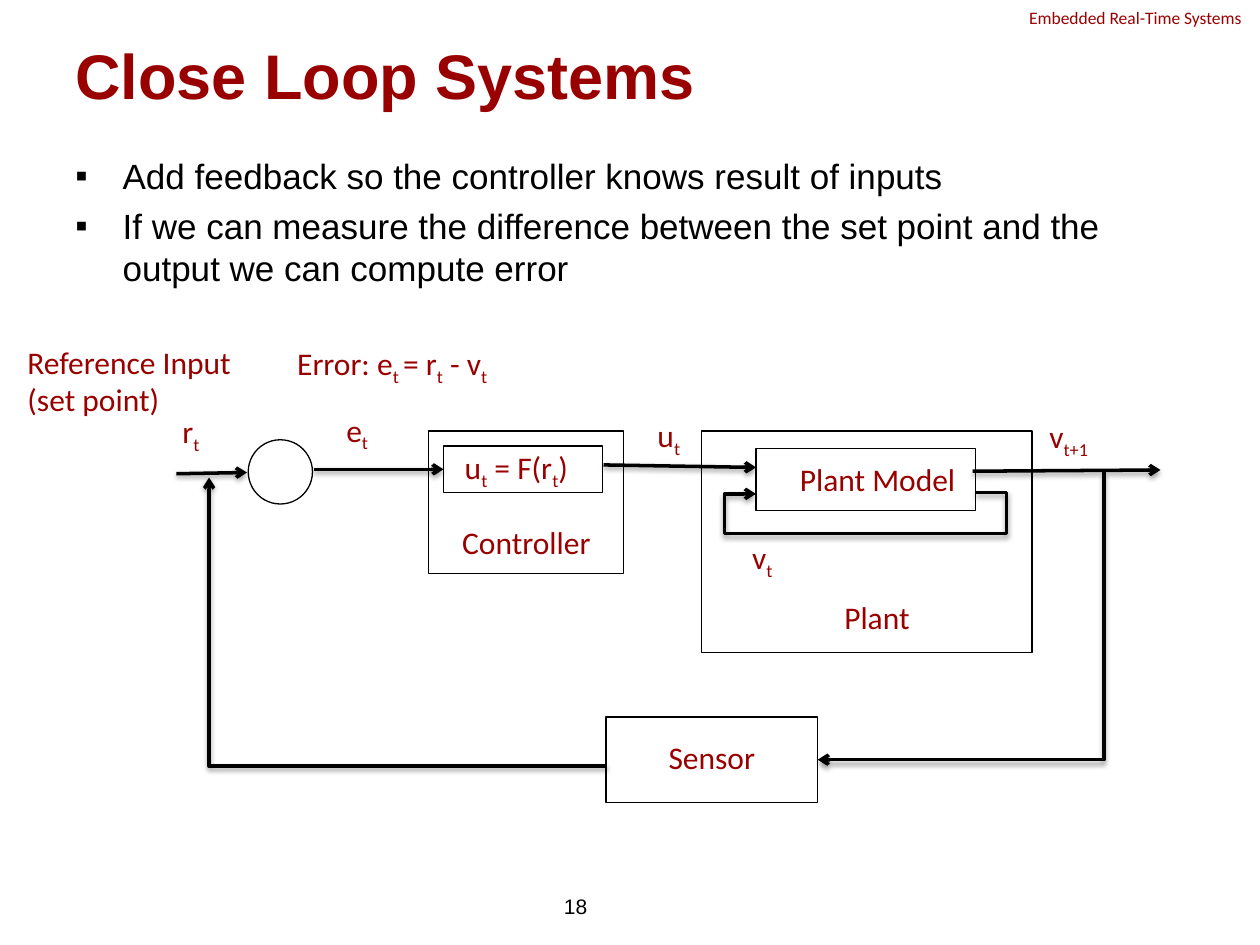
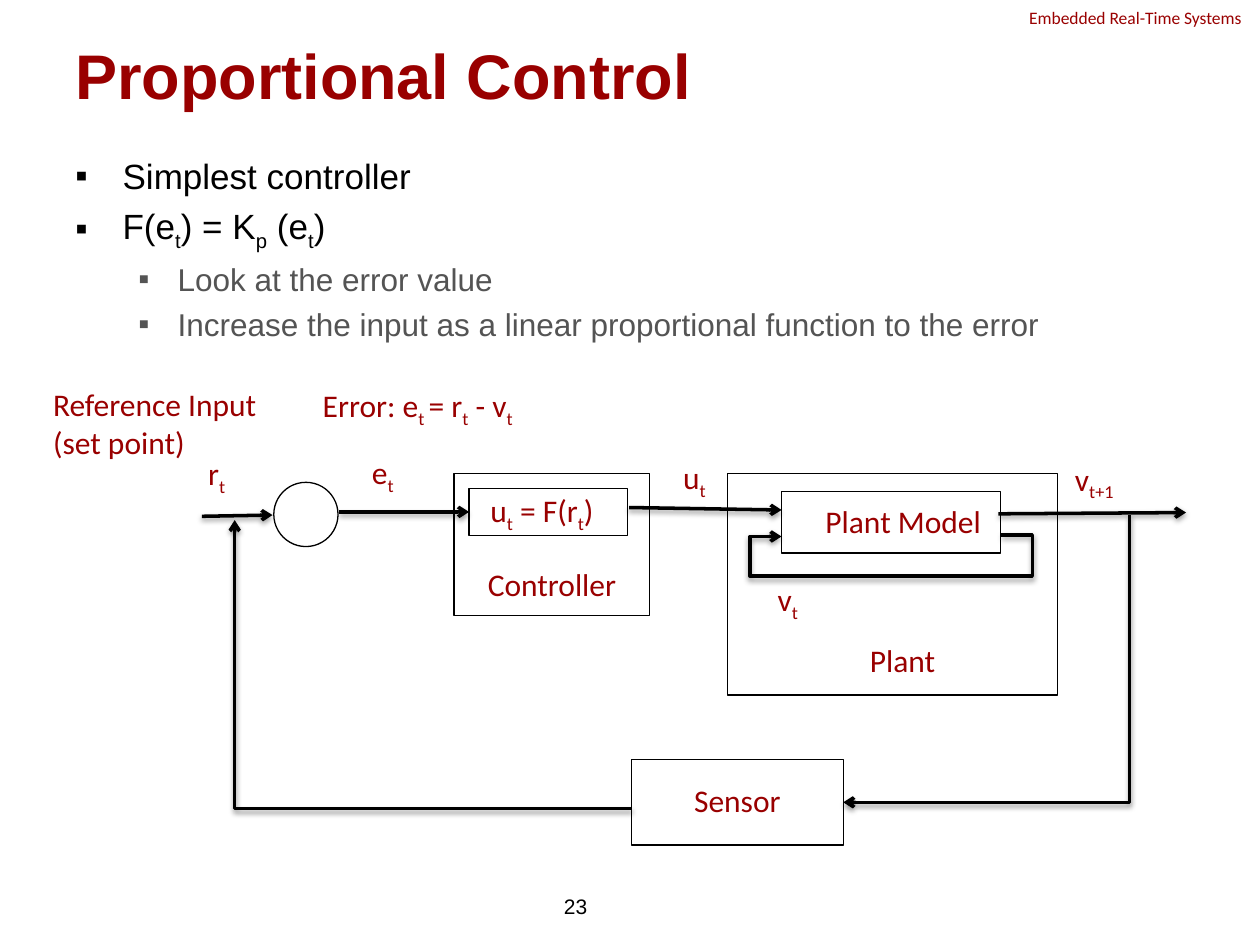
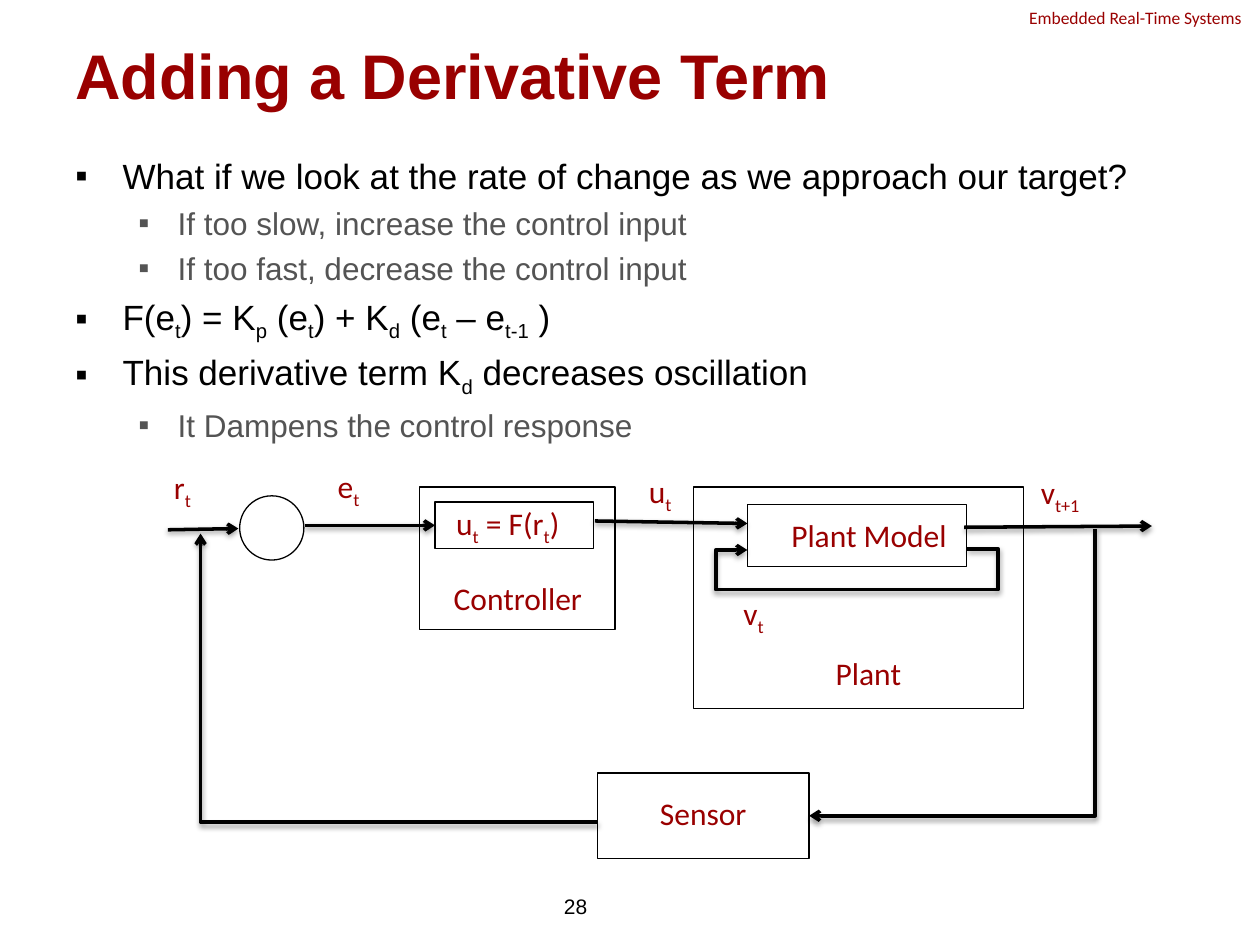
import dataclasses

import lxml.etree
import pptx
import pptx.dml.color
import pptx.enum.shapes
import pptx.enum.text
import pptx.oxml.ns
import pptx.util

qn = pptx.oxml.ns.qn
Pt = pptx.util.Pt
ALIGN = pptx.enum.text.PP_ALIGN
ANCHOR = pptx.enum.text.MSO_ANCHOR
SHAPE = pptx.enum.shapes.MSO_SHAPE
LINK = pptx.enum.shapes.MSO_CONNECTOR


@dataclasses.dataclass(frozen=True)
class TextStyle:
    name: str
    size: float
    color: str
    bold: bool = False


@dataclasses.dataclass(frozen=True)
class Theme:
    ink: str = "000000"
    header: TextStyle = TextStyle("Calibri", 10, "990000")
    title: TextStyle = TextStyle("Arial", 36, "990000", True)
    bullets: tuple = (TextStyle("Arial", 20, "000000"),
                      TextStyle("Arial", 18, "545454"))
    label: TextStyle = TextStyle("Calibri", 18, "990000")
    number: TextStyle = TextStyle("Arial", 12, "000000")
    indents: tuple = ((3.75, -3.75), (8.12, -3.12))
    gap: float = 0.23
    outline: float = 0.75
    arrow: float = 2


def rgb(value):
    return pptx.dml.color.RGBColor.from_string(value)


def put(obj, **fmt):
    for key, value in fmt.items():
        setattr(obj, key, value)


def sub(parent, tag, **attrs):
    el = lxml.etree.SubElement(parent, qn(tag))
    for key, value in attrs.items():
        el.set(key, str(value))
    return el


class Deck:
    COLUMNS, ROWS = 100, 75

    def __init__(self, theme):
        self.theme = theme
        self.prs = pptx.Presentation()
        put(self.prs, slide_width=pptx.util.Inches(10),
            slide_height=pptx.util.Inches(7.5))
        self.s = None
        self.shift = (0, 0)

    def x(self, columns):
        return round(self.prs.slide_width * columns / self.COLUMNS)

    def y(self, rows):
        return round(self.prs.slide_height * rows / self.ROWS)

    def point(self, column, row):
        return self.x(column + self.shift[0]), self.y(row + self.shift[1])

    def box(self, column, row, width, height):
        return *self.point(column, row), self.x(width), self.y(height)

    def slide(self, title, number, bullets):
        self.s = self.prs.slides.add_slide(self.prs.slide_layouts[6])
        self.shift = (0, 0)
        t = self.theme
        self.text("Embedded Real-Time Systems", (80.7, 0.1, 19.3, 2.7),
                  t.header, wrap=False)
        self.text(title, (5, 3, 90, 5.8), t.title, anchor=ANCHOR.MIDDLE)
        self.bullets(bullets, (5, 11.8, 90, 55.2))
        self.text(str(number), (24.3, 69.9, 23.3, 4), t.number,
                  align=ALIGN.RIGHT, anchor=ANCHOR.MIDDLE)

    def frame(self, area, wrap=True, anchor=ANCHOR.TOP):
        tf = self.s.shapes.add_textbox(*self.box(*area)).text_frame
        put(tf, word_wrap=wrap, vertical_anchor=anchor)
        return tf

    def runs(self, p, text, style):
        for i, part in enumerate(text.replace("]", "[").split("[")):
            if not part:
                continue
            r = p.add_run()
            r.text = part
            put(r.font, name=style.name, size=Pt(style.size), bold=style.bold)
            r.font.color.rgb = rgb(style.color)
            if i % 2:
                r._r.get_or_add_rPr().set("baseline", "-25000")

    def text(self, text, area, style, align=ALIGN.LEFT, **frame):
        p = self.frame(area, **frame).paragraphs[0]
        p.alignment = align
        self.runs(p, text, style)

    def label(self, text, area, align=ALIGN.LEFT):
        self.text(text, area, self.theme.label, align)

    def bullets(self, items, area):
        tf = self.frame(area)
        for i, (level, text) in enumerate(items):
            p = tf.add_paragraph() if i else tf.paragraphs[0]
            style = self.theme.bullets[level]
            margin, indent = self.theme.indents[level]
            pPr = p._p.get_or_add_pPr()
            pPr.set("marL", str(self.x(margin)))
            pPr.set("indent", str(self.x(indent)))
            sub(pPr, "a:buFont", typeface=style.name)
            sub(pPr, "a:buChar", char="▪")
            put(p, level=level,
                space_before=Pt(self.theme.gap * style.size if i else 0))
            self.runs(p, text, style)

    def shape(self, area, kind=SHAPE.RECTANGLE):
        sp = self.s.shapes.add_shape(kind, *self.box(*area))
        sp.shadow.inherit = False
        sp.fill.background()
        sp.line.color.rgb = rgb(self.theme.ink)
        sp.line.width = Pt(self.theme.outline)
        return sp

    def arrow(self, start, end, head="a:tailEnd", bend=None, adjust=()):
        kind = LINK.ELBOW if bend else LINK.STRAIGHT
        c = self.s.shapes.add_connector(kind, *self.point(*start),
                                        *self.point(*end))
        c.line.color.rgb = rgb(self.theme.ink)
        c.line.width = Pt(self.theme.arrow)
        spPr = c._element.spPr
        sub(c.line._ln, head, type="arrow")
        if bend:
            geom = spPr.find(qn("a:prstGeom"))
            geom.set("prst", bend)
            guides = geom.find(qn("a:avLst"))
            for i, share in enumerate(adjust, 1):
                sub(guides, "a:gd", name=f"adj{i}",
                    fmla=f"val {round(share * 100000)}")
        shadow = sub(sub(spPr, "a:effectLst"), "a:outerShdw",
                     blurRad=Pt(3.1), dist=Pt(1.6), dir=5400000,
                     rotWithShape=0)
        sub(sub(shadow, "a:srgbClr", val=self.theme.ink), "a:alpha", val=38000)
        return c

    def loop(self, start, end, right, bottom, left):
        (x1, y1), (x2, y2) = start, end
        adjust = ((x1 - right) / (x1 - x2), (bottom - y1) / (y2 - y1),
                  (x1 - left) / (x1 - x2))
        self.arrow(start, end, bend="bentConnector5", adjust=adjust)

    def control_diagram(self, shift, captions):
        self.shift = shift
        self.shape((34, 34.2, 15.5, 11.3))
        self.shape((55.7, 34.2, 26.2, 17.6))
        formula = self.shape((35.2, 35.4, 12.6, 3.7))
        self.shape((60, 35.6, 17.4, 4.9))
        self.shape((48.1, 56.9, 16.8, 6.8))
        self.shape((19.7, 34.9, 5.1, 5.1), SHAPE.OVAL)

        self.arrow((14, 37.6), (19.6, 37.5))
        self.arrow((24.9, 37.25), (35.2, 37.25)).end_connect(formula, 1)
        self.arrow((47.9, 36.9), (60, 37.1))
        self.arrow((77.2, 37.4), (92.1, 37.3))
        self.loop((77.4, 39.1), (60, 39.2), right=79.9, bottom=42.4, left=57.5)
        self.arrow((64.9, 60.3), (87.6, 37.5), "a:headEnd", "bentConnector2")
        self.arrow((48.1, 60.8), (16.6, 37.9), bend="bentConnector2")

        for text, column, row, width in SIGNALS:
            self.label(text, (column, row, width, 4))
        for text, column, row, width in CENTRED:
            self.label(text, (column, row, width, 4), ALIGN.CENTER)
        if captions:
            self.label("Reference Input (set point)", (1.2, 26.7, 18.3, 7.1))
            self.label("Error: e[t ]= r[t] - v[t]", (22.6, 26.8, 28.9, 4))


SIGNALS = (
    ("r[t]", 13.5, 32.2, 5),
    ("e[t]", 26.5, 32.1, 5),
    ("u[t]", 51.2, 32.5, 5),
    ("v[t+1]", 82.3, 32.6, 7.9),
    ("v[t]", 58.7, 42.2, 7.9),
    ("u[t] = F(r[t])", 35.9, 35.1, 12.3),
    ("Controller", 35.7, 41, 13.8),
    ("Plant Model", 62.5, 36, 14.6),
)
CENTRED = (("Plant", 62.7, 47, 13.8), ("Sensor", 49.2, 58.1, 14.6))

SLIDES = (
    ("Close Loop Systems", 18, (0, 0), True, (
        (0, "Add feedback so the controller knows result of inputs"),
        (0, "If we can measure the difference between the set point and the "
            "output we can compute error"),
    )),
    ("Proportional Control", 23, (2.03, 3.38), True, (
        (0, "Simplest controller"),
        (0, "F(e[t]) = K[p] (e[t])"),
        (1, "Look at the error value"),
        (1, "Increase the input as a linear proportional function to the "
            "error"),
    )),
    ("Adding a Derivative Term", 28, (-0.68, 4.45), False, (
        (0, "What if we look at the rate of change as we approach our "
            "target?"),
        (1, "If too slow, increase the control input"),
        (1, "If too fast, decrease the control input"),
        (0, "F(e[t]) = K[p] (e[t]) + K[d] (e[t] – e[t-1] )"),
        (0, "This derivative term K[d] decreases oscillation"),
        (1, "It Dampens the control response"),
    )),
)


def main():
    deck = Deck(Theme())
    for title, number, shift, captions, bullets in SLIDES:
        deck.slide(title, number, bullets)
        deck.control_diagram(shift, captions)
    deck.prs.save("out.pptx")


if __name__ == "__main__":
    main()
